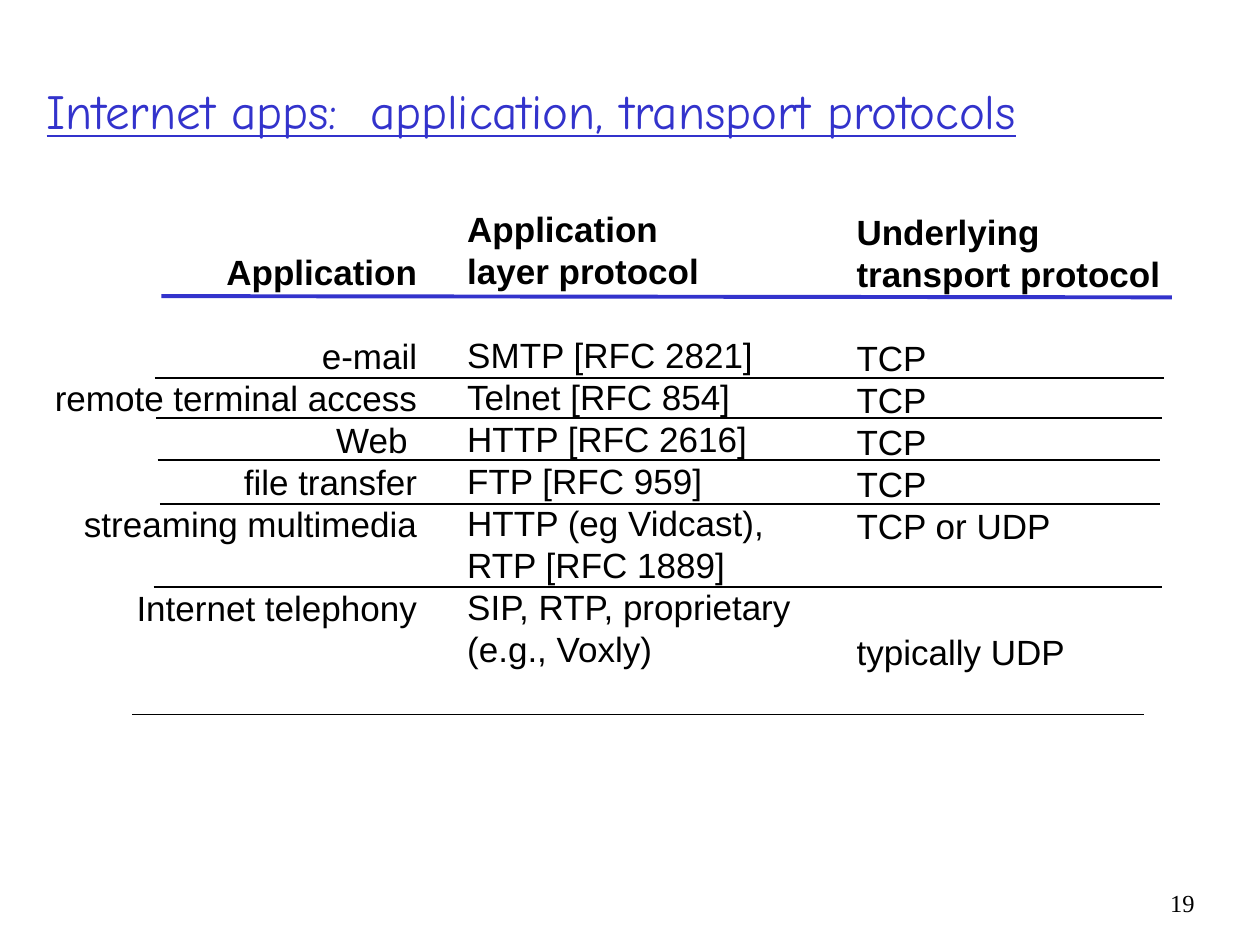
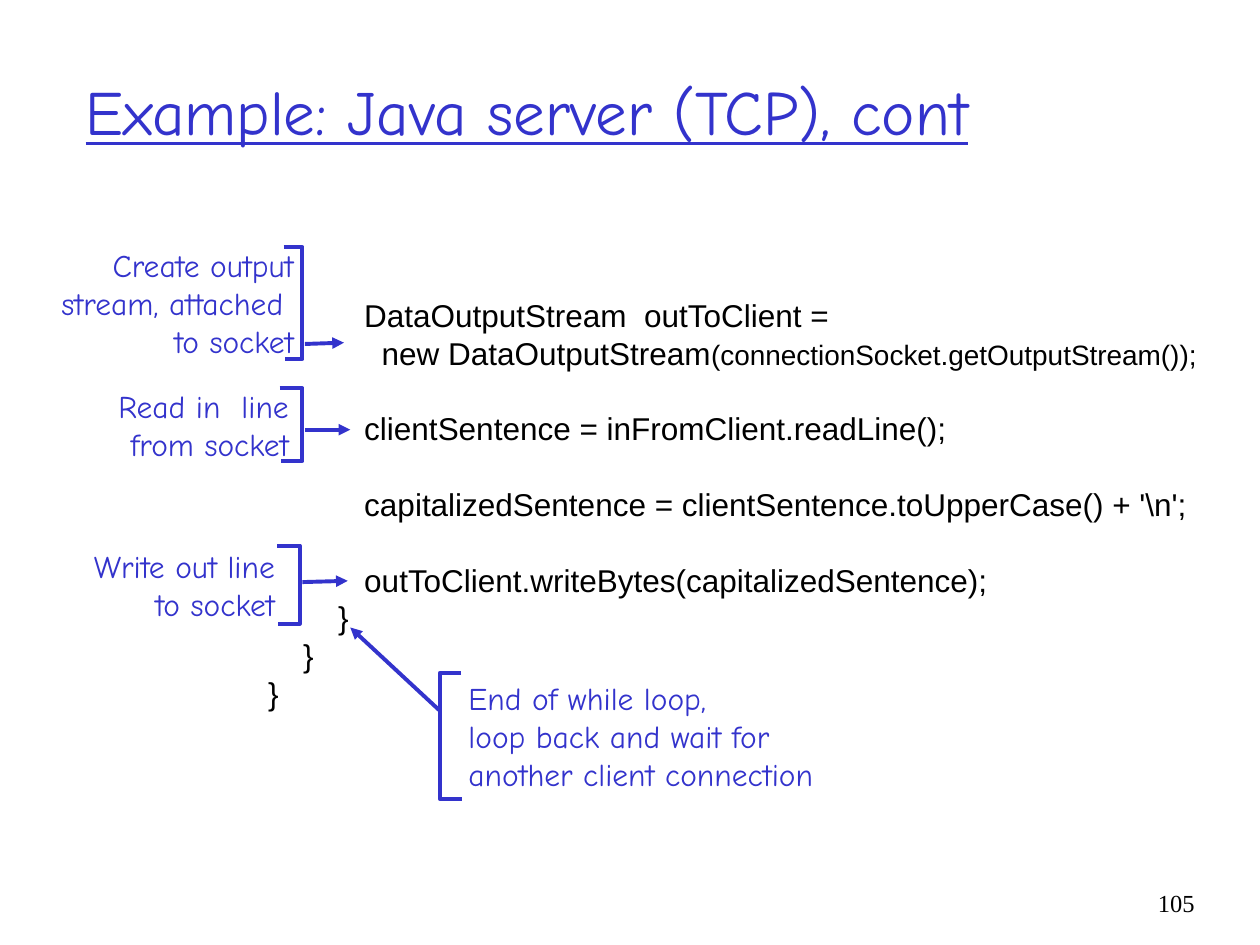
"""Build two lecture slides on Internet applications and socket programming."""
from dataclasses import dataclass

import pptx
import pptx.dml.color
import pptx.enum.shapes
import pptx.enum.text
import pptx.oxml.xmlchemy
import pptx.util

ALIGN = pptx.enum.text.PP_ALIGN
ANCHOR = pptx.enum.text.MSO_ANCHOR


@dataclass(frozen=True)
class Theme:
    """Colours, fonts, type sizes in points and grid of the deck."""

    accent: str = "3333CC"
    ink: str = "000000"
    display_font: str = "Comic Neue"
    body_font: str = "Arial"
    number_font: str = "Times New Roman"
    title_size: int = 36
    long_title_size: int = 28
    table_size: int = 20
    code_size: int = 18
    small_code_size: int = 16
    number_size: int = 14
    heavy_line: float = 2.25
    thin_line: float = 1
    leading: float = 1.2
    columns: int = 100
    rows: int = 75
    cell: int = pptx.util.Inches(0.1)


THEME = Theme()


@dataclass(frozen=True)
class Box:
    """A region measured in grid columns and rows."""

    left: float
    top: float
    width: float
    height: float

    def inner(self, column, row, width, height):
        """Return a region placed relative to this one."""
        return Box(self.left + column, self.top + row, width, height)

    def point(self, column, row):
        """Return slide coordinates of a grid point relative to this region."""
        return (round((self.left + column) * THEME.cell),
                round((self.top + row) * THEME.cell))

    def frame(self):
        """Return left, top, width and height in slide units."""
        return (*self.point(0, 0), round(self.width * THEME.cell),
                round(self.height * THEME.cell))


def colour(value):
    """Turn a hex string into a colour."""
    return pptx.dml.color.RGBColor.from_string(value)


def format_run(run, size, font, ink, bold=False, underline=False):
    """Set the character format of one run."""
    run.font.size = pptx.util.Pt(size)
    run.font.name = font
    run.font.color.rgb = colour(ink)
    run.font.bold = bold
    run.font.underline = underline


def add_text(slide, box, lines, size, font=THEME.body_font, ink=THEME.ink,
             align=ALIGN.LEFT, anchor=ANCHOR.TOP, bold_lines=0, tail_size=None):
    """Add lines of text; an empty line becomes space before the next one."""
    frame = slide.shapes.add_textbox(*box.frame()).text_frame
    frame.word_wrap = True
    frame.vertical_anchor = anchor
    pitch = size * THEME.leading
    paragraph, gap = None, 0
    for number, line in enumerate(lines):
        if not line:
            gap += pitch
            continue
        paragraph = frame.add_paragraph() if paragraph else frame.paragraphs[0]
        paragraph.alignment = align
        paragraph.line_spacing = pptx.util.Pt(pitch)
        paragraph.space_before = pptx.util.Pt(gap)
        gap = 0
        parts = line if isinstance(line, tuple) else (line,)
        for index, part in enumerate(parts):
            run = paragraph.add_run()
            run.text = part
            format_run(run, tail_size if index else size, font, ink,
                       bold=number < bold_lines)


def add_line(slide, start, end, ink, width, arrow=False):
    """Draw a straight line, with an arrowhead at its end if asked."""
    connector = slide.shapes.add_connector(
        pptx.enum.shapes.MSO_CONNECTOR.STRAIGHT, *start, *end)
    connector.line.color.rgb = colour(ink)
    connector.line.width = pptx.util.Pt(width)
    if arrow:
        head = pptx.oxml.xmlchemy.OxmlElement("a:tailEnd")
        head.set("type", "triangle")
        connector.line._get_or_add_ln().append(head)
    connector._element.spPr.append(
        pptx.oxml.xmlchemy.OxmlElement("a:effectLst"))


def add_slide(presentation, title, title_box, title_size, number):
    """Add a slide with its underlined title and page number."""
    slide = presentation.slides.add_slide(presentation.slide_layouts[5])
    shape = slide.shapes.title
    shape.left, shape.top, shape.width, shape.height = title_box.frame()
    shape.text_frame.vertical_anchor = ANCHOR.MIDDLE
    shape.text_frame.auto_size = pptx.enum.text.MSO_AUTO_SIZE.NONE
    paragraph = shape.text_frame.paragraphs[0]
    paragraph.alignment = ALIGN.LEFT
    run = paragraph.add_run()
    run.text = title
    format_run(run, title_size, THEME.display_font, THEME.accent, underline=True)
    add_text(slide, Box(90.8, 70, 5, 5), [number], THEME.number_size,
             font=THEME.number_font, align=ALIGN.RIGHT)
    return slide


def place_protocol_columns(slide, box):
    """Place the three text columns of the protocol overview."""
    applications = ["Application", "", "e-mail", "remote terminal access", "Web ",
                    "file transfer", "streaming multimedia", "",
                    "Internet telephony"]
    protocols = ["Application", "layer protocol", "", "SMTP [RFC 2821]",
                 "Telnet [RFC 854]", "HTTP [RFC 2616]", "FTP [RFC 959]",
                 "HTTP (eg Vidcast),", "RTP [RFC 1889]",
                 "SIP, RTP, proprietary", "(e.g., Voxly)"]
    transports = ["Underlying", "transport protocol", "", *["TCP"] * 4,
                  "TCP or UDP", "", "", "typically UDP"]
    columns = ((2.4, 3.4, 31.7, applications, ALIGN.RIGHT, 1),
               (36.1, 0, 28.4, protocols, ALIGN.LEFT, 2),
               (67, 0.2, 28.7, transports, ALIGN.LEFT, 2))
    for column, row, width, lines, align, bold_lines in columns:
        add_text(slide, box.inner(column, row, width, box.height - row), lines,
                 THEME.table_size, align=align, bold_lines=bold_lines)


def place_protocol_rules(slide, box):
    """Place the heavy header rule and the thin row rules."""
    add_line(slide, box.point(12.8, 7.5), box.point(93, 7.6),
             THEME.accent, THEME.heavy_line)
    rules = ((12.3, 92.4, 14), (12.4, 92.2, 17.2), (12.5, 92.1, 20.5),
             (12.7, 92.1, 24), (12.2, 92.2, 30.6), (10.5, 90.8, 40.7))
    for start, end, row in rules:
        add_line(slide, box.point(start, row), box.point(end, row),
                 THEME.ink, THEME.thin_line)


def place_code(slide, box):
    """Place the end of the server's listing."""
    lines = ["           DataOutputStream  outToClient =",
             ("             new DataOutputStream",
              "(connectionSocket.getOutputStream());"),
             "",
             "           clientSentence = inFromClient.readLine();",
             "",
             "           capitalizedSentence = clientSentence.toUpperCase() + '\\n';",
             "",
             "           outToClient.writeBytes(capitalizedSentence);",
             "        }",
             "    }",
             "}"]
    add_text(slide, box, lines, THEME.code_size, tail_size=THEME.small_code_size)


def place_note(slide, box, lines, text_edge, arrow, opens_right=False):
    """Place a bracket filling the box, its note and the arrow to the code."""
    spine, lip = (0, box.width) if opens_right else (box.width, 0)
    corners = ((spine, 0), (spine, box.height), (lip + 0.1, box.height))
    builder = slide.shapes.build_freeform(*box.point(lip, 0), scale=1.0)
    builder.add_line_segments([box.point(*corner) for corner in corners],
                              close=False)
    bracket = builder.convert_to_shape()
    bracket.shadow.inherit = False
    bracket.fill.background()
    bracket.line.color.rgb = colour(THEME.accent)
    bracket.line.width = pptx.util.Pt(THEME.heavy_line)

    width = 31 if opens_right else 22
    text_left = text_edge if opens_right else text_edge - width
    add_text(slide, box.inner(text_left, 0, width, box.height), lines,
             THEME.code_size, font=THEME.display_font, ink=THEME.accent,
             align=ALIGN.LEFT if opens_right else ALIGN.RIGHT,
             anchor=ANCHOR.MIDDLE)
    start, end = arrow
    add_line(slide, box.point(*start), box.point(*end), THEME.accent,
             THEME.heavy_line, arrow=True)


def build_protocol_slide(presentation):
    """Build the overview of application and transport protocols."""
    slide = add_slide(presentation,
                      "Internet apps:  application, transport protocols",
                      Box(2.7, 2.5, 95.7, 12.5), THEME.long_title_size, "19")
    table_box = Box(0, 16, THEME.columns, 37.7)
    place_protocol_columns(slide, table_box)
    place_protocol_rules(slide, table_box)


def build_server_slide(presentation):
    """Build the annotated listing of the server."""
    slide = add_slide(presentation, "Example: Java server (TCP), cont",
                      Box(5.8, 2.5, 85, 12.5), THEME.title_size, "105")
    place_code(slide, Box(20.3, 23, 77, 34))
    place_note(slide, Box(22.5, 19.6, 1.5, 8.9),
               ["Create output", "stream, attached ", "to socket"],
               text_edge=1.8, arrow=((1.7, 7.7), (4.8, 7.6)))
    place_note(slide, Box(22.2, 30.8, 1.8, 5.8), ["Read in  line", "from socket"],
               text_edge=1.7, arrow=((2, 3.3), (5.6, 3.3)))
    place_note(slide, Box(22, 43.3, 1.8, 6.2), ["Write out line", "to socket"],
               text_edge=0.8, arrow=((2, 2.9), (5.6, 2.8)))
    place_note(slide, Box(34.9, 53.4, 1.7, 10),
               ["End of while loop,", "loop back and wait for",
                "another client connection"],
               text_edge=1.3, arrow=((0, 3), (-7.1, -3.6)), opens_right=True)


def main():
    """Build and save the presentation."""
    presentation = pptx.Presentation()
    presentation.slide_width = THEME.columns * THEME.cell
    presentation.slide_height = THEME.rows * THEME.cell
    build_protocol_slide(presentation)
    build_server_slide(presentation)
    presentation.save("out.pptx")


if __name__ == "__main__":
    main()
